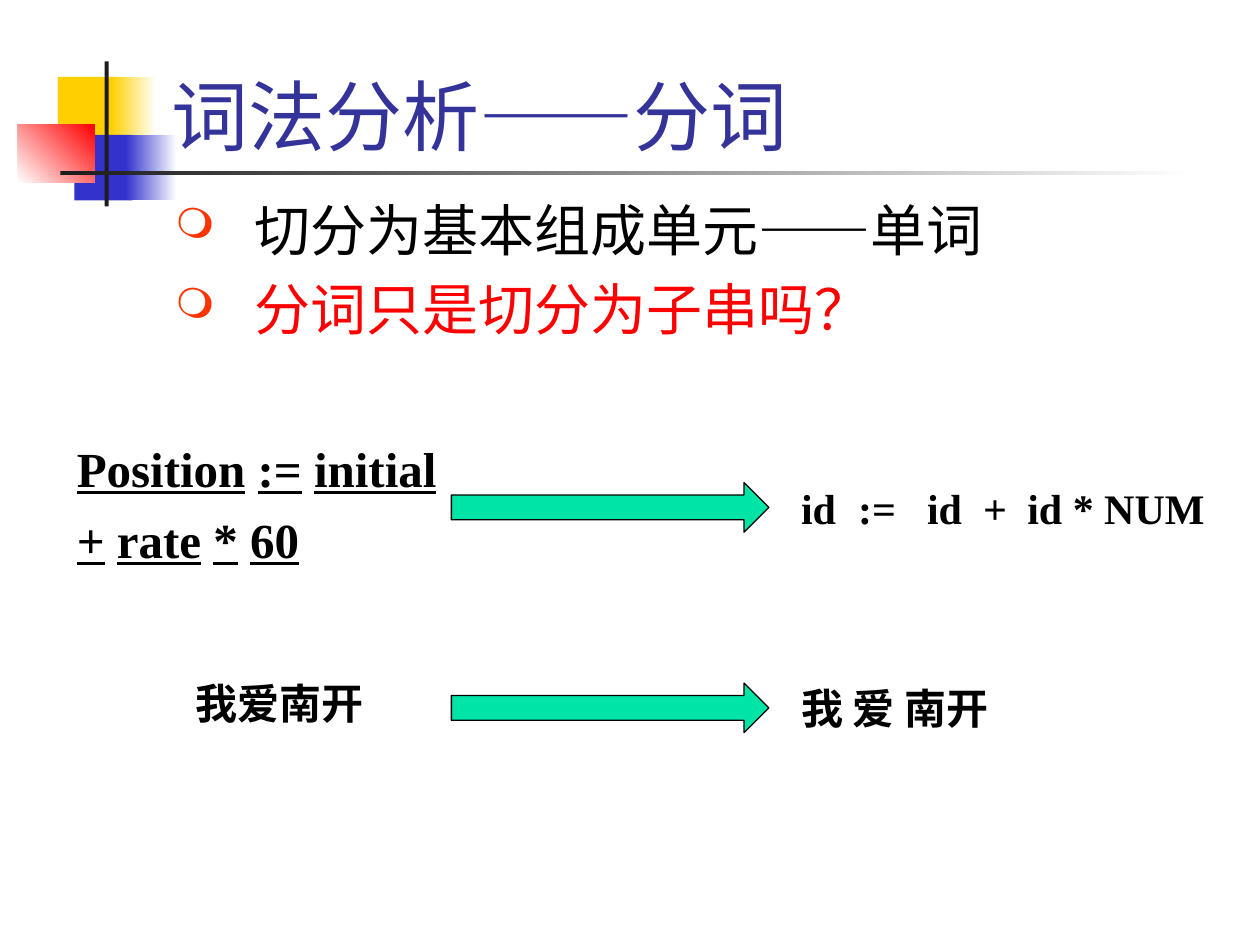
from lxml.etree import SubElement
from pptx import Presentation
from pptx.dml.color import RGBColor
from pptx.enum.shapes import MSO_SHAPE as Shape
from pptx.enum.text import MSO_ANCHOR as Anchor, PP_ALIGN as Align
from pptx.oxml.ns import qn
from pptx.util import Cm, Pt

FONT = "Times New Roman"
BLACK = RGBColor(0, 0, 0)
WHITE = RGBColor(0xFF, 0xFF, 0xFF)
RED = RGBColor(0xFF, 0, 0)
GOLD = RGBColor(0xFF, 0xCF, 0x01)
BLUE = RGBColor(0x33, 0x33, 0xCC)
NAVY = RGBColor(0x33, 0x33, 0x99)
DARK = RGBColor(0x1C, 0x1C, 0x1C)
GREEN = RGBColor(0, 0xE4, 0xA8)


def style(para, size, color=BLACK, bold=False):
    font = para.font
    font.name, font.size, font.bold = FONT, Pt(size), bold
    font.color.rgb = color


def block(slide, x, y, w, h, start, end=None, angle=0):
    """Borderless rectangle, plain or fading from start to end."""
    rect = slide.shapes.add_shape(Shape.RECTANGLE, Cm(x), Cm(y), Cm(w), Cm(h))
    rect.shadow.inherit = False
    rect.line.fill.background()
    if end is None:
        rect.fill.solid()
        rect.fill.fore_color.rgb = start
        return
    rect.fill.gradient()
    rect.fill.gradient_angle = angle
    for stop, color, pos in zip(rect.fill.gradient_stops, (start, end), (0, 1)):
        stop.color.rgb, stop.position = color, pos


def text_box(slide, x, y, w, h):
    frame = slide.shapes.add_textbox(Cm(x), Cm(y), Cm(w), Cm(h)).text_frame
    frame.word_wrap = True
    return frame


def add_lines(frame, count, gap=7):
    """Return count paragraphs with a gap between them."""
    paras = [frame.paragraphs[0]]
    for _ in range(count - 1):
        para = frame.add_paragraph()
        para.space_before = Pt(gap)
        paras.append(para)
    return paras


def indent(para, depth):
    props = para._p.get_or_add_pPr()
    props.set("marL", str(Cm(depth)))
    props.set("indent", str(-Cm(depth)))
    return props


def add_decor(slide, x, y):
    # Gold and blue pairs, each a plain block and a fading one
    block(slide, x + 0.81, y + 0.31, 1.22, 1.32, GOLD)
    block(slide, x + 1.88, y + 0.31, 0.91, 1.32, GOLD, WHITE)
    block(slide, x + 1.14, y + 1.48, 1.17, 1.32, BLUE)
    block(slide, x + 2.18, y + 1.48, 1.02, 1.32, BLUE, WHITE)
    block(slide, x, y + 1.27, 1.55, 1.17, WHITE, RED, 45)
    # Crossing rules
    block(slide, x + 1.75, y, 0.08, 2.92, DARK)
    block(slide, x + 0.86, y + 2.21, 22.86, 0.08, DARK, WHITE)


def set_title(slide, x, y, w, h, text):
    title = slide.shapes.title
    title.left, title.top, title.width, title.height = Cm(x), Cm(y), Cm(w), Cm(h)
    frame = title.text_frame
    frame.text = text
    frame.vertical_anchor = Anchor.BOTTOM
    para = frame.paragraphs[0]
    para.alignment = Align.LEFT
    style(para, 44, NAVY)
    # Bring in front of the decor
    title.element.getparent().append(title.element)


def add_bullets(slide, x, y, w, h, items):
    frame = text_box(slide, x, y, w, h)
    for para, (text, color) in zip(add_lines(frame, len(items)), items):
        props = indent(para, 1.6)
        tint = SubElement(props, qn("a:buClr"))
        SubElement(tint, qn("a:srgbClr")).set("val", "FF3300")
        SubElement(props, qn("a:buSzPct")).set("val", "75000")
        SubElement(props, qn("a:buChar")).set("char", "❍")
        para.text = text
        style(para, 32, color)


def add_source(slide, x, y, w, h, lines):
    """Code lines with every token underlined."""
    frame = text_box(slide, x, y, w, h)
    for para, line in zip(add_lines(frame, len(lines)), lines):
        indent(para, 0.97)
        for i, token in enumerate(line.split()):
            if i:
                para.add_run().text = " "
            run = para.add_run()
            run.text = token
            run.font.underline = True
        style(para, 28, bold=True)


def add_label(slide, x, y, w, h, text, tabs=()):
    para = text_box(slide, x, y, w, h).paragraphs[0]
    if tabs:
        stops = SubElement(para._p.get_or_add_pPr(), qn("a:tabLst"))
        for pos in tabs:
            stop = SubElement(stops, qn("a:tab"))
            stop.set("pos", str(Cm(pos)))
            stop.set("algn", "l")
    para.text = text
    style(para, 24, bold=True)


def add_arrow(slide, x, y, w, h):
    arrow = slide.shapes.add_shape(Shape.RIGHT_ARROW, Cm(x), Cm(y), Cm(w), Cm(h))
    arrow.shadow.inherit = False
    arrow.fill.solid()
    arrow.fill.fore_color.rgb = GREEN
    arrow.line.color.rgb = BLACK
    arrow.line.width = Pt(0.75)


def add_code_row(slide, x, y):
    add_source(slide, x, y, 7.8, 3.2, ["Position := initial", "+ rate * 60"])
    add_arrow(slide, x + 7.8, y + 1.02, 6.4, 1)
    add_label(slide, x + 14.6, y + 0.9, 8.94, 1.27,
              "id\t:=\tid\t+\tid * NUM", (1.15, 2.54, 3.67, 4.56))


def add_word_row(slide, x, y):
    add_label(slide, x + 2.4, y + 0.02, 5, 1.75, "我爱南开")
    add_arrow(slide, x + 7.8, y + 0.26, 6.4, 1)
    add_label(slide, x + 14.6, y + 0.12, 8.61, 1.3, "我 爱 南开")


def main():
    deck = Presentation()
    deck.slide_width, deck.slide_height = Cm(25.4), Cm(19.05)
    slide = deck.slides.add_slide(deck.slide_layouts[5])
    add_decor(slide, 0.36, 1.24)
    set_title(slide, 3.2, 0.2, 21.64, 3.18, "词法分析——分词")
    add_bullets(slide, 3.28, 3.81, 21.59, 13.13, [
        ("切分为基本组成单元——单词", BLACK),
        ("分词只是切分为子串吗？", RED),
    ])
    add_code_row(slide, 1.3, 8.71)
    add_word_row(slide, 1.3, 13.51)
    deck.save("out.pptx")


if __name__ == "__main__":
    main()
